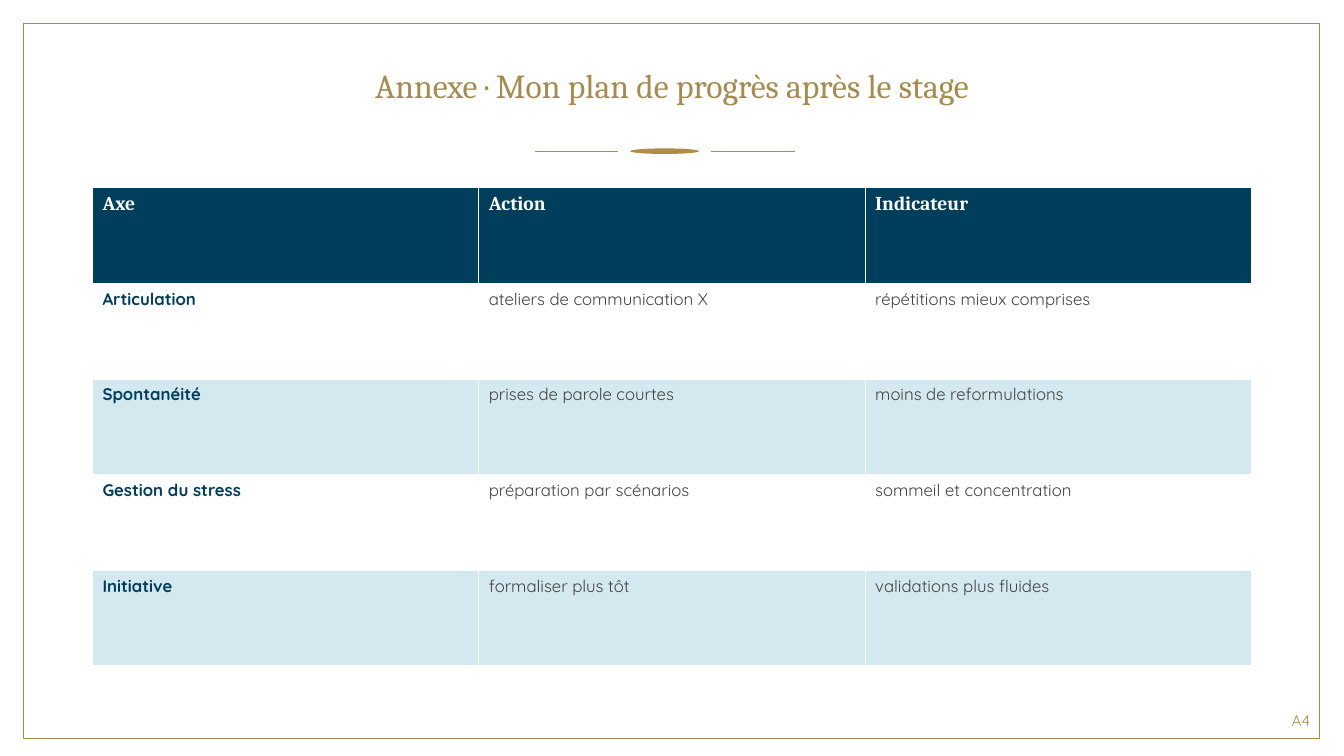
from lxml.etree import SubElement
from pptx import Presentation
from pptx.dml.color import RGBColor
from pptx.enum.shapes import MSO_CONNECTOR, MSO_SHAPE
from pptx.enum.text import MSO_ANCHOR, PP_ALIGN
from pptx.oxml.ns import qn
from pptx.util import Cm, Pt

COLORS = {
    "gold": "A68B4E",
    "ornament": "B18C49",
    "navy": "003E5C",
    "pale": "D4E8EF",
    "white": "FFFFFF",
    "text": "424242",
}
HEADING_FONT = "Cambria"
BODY_FONT = "Quicksand"

PLAN = [
    ("Axe", "Action", "Indicateur"),
    ("Articulation", "ateliers de communication X", "répétitions mieux comprises"),
    ("Spontanéité", "prises de parole courtes", "moins de reformulations"),
    ("Gestion du stress", "préparation par scénarios", "sommeil et concentration"),
    ("Initiative", "formaliser plus tôt", "validations plus fluides"),
]


def color(name):
    return RGBColor.from_string(COLORS[name])


def write(text_frame, text, *, size, font, ink, bold=False,
          align=PP_ALIGN.LEFT, line_spacing=None):
    paragraph = text_frame.paragraphs[0]
    paragraph.alignment = align
    paragraph.line_spacing = line_spacing
    run = paragraph.add_run()
    run.text = text
    run.font.size = Pt(size)
    run.font.name = font
    run.font.bold = bold
    run.font.color.rgb = color(ink)


def add_text(slide, text, left, top, width, height, **text_format):
    shape = slide.shapes.add_textbox(Cm(left), Cm(top), Cm(width), Cm(height))
    shape.text_frame.word_wrap = True
    shape.text_frame.vertical_anchor = MSO_ANCHOR.MIDDLE
    write(shape.text_frame, text, **text_format)


def add_filled_shape(slide, kind, left, top, width, height, fill, line=None):
    shape = slide.shapes.add_shape(kind, Cm(left), Cm(top), Cm(width), Cm(height))
    shape.shadow.inherit = False
    shape.fill.solid()
    shape.fill.fore_color.rgb = color(fill)
    if line:
        shape.line.color.rgb = color(line)
        shape.line.width = Pt(0.75)
    else:
        shape.line.fill.background()


def add_rule(slide, left, top, width):
    connector = slide.shapes.add_connector(
        MSO_CONNECTOR.STRAIGHT, Cm(left), Cm(top), Cm(left + width), Cm(top))
    connector.line.color.rgb = color("ornament")
    connector.line.width = Pt(0.5)
    SubElement(connector._element.spPr, qn("a:effectLst"))


def add_ornament(slide):
    add_filled_shape(slide, MSO_SHAPE.OVAL, 15.88, 3.74, 1.74, 0.14, "ornament")
    for left in (13.47, 17.93):
        add_rule(slide, left, 3.82, 2.11)


def add_plan_table(slide, rows, left, top, width, row_height):
    shape = slide.shapes.add_table(
        len(rows), len(rows[0]), Cm(left), Cm(top), Cm(width),
        Cm(row_height * len(rows)))
    table = shape.table
    table.horz_banding = False
    for row_index, row in enumerate(rows):
        table.rows[row_index].height = Cm(row_height)
        for column_index, text in enumerate(row):
            cell = table.cell(row_index, column_index)
            cell.fill.solid()
            if row_index == 0:
                fill = "navy"
                text_format = dict(size=14, font=HEADING_FONT, ink="white", bold=True)
            else:
                is_axis = column_index == 0
                fill = "white" if row_index % 2 else "pale"
                text_format = dict(size=12, font=BODY_FONT, bold=is_axis,
                                   ink="navy" if is_axis else "text")
            cell.fill.fore_color.rgb = color(fill)
            write(cell.text_frame, text, **text_format)


def main():
    presentation = Presentation()
    presentation.slide_width = Cm(33.87)
    presentation.slide_height = Cm(19.05)
    slide = presentation.slides.add_slide(presentation.slide_layouts[6])

    add_filled_shape(slide, MSO_SHAPE.RECTANGLE, 0.6, 0.59, 32.66, 18.03,
                     "white", line="gold")
    add_ornament(slide)
    add_text(slide, "Annexe · Mon plan de progrès après le stage",
             2.33, 0.59, 29.21, 3.22, size=24, font=HEADING_FONT, ink="gold",
             align=PP_ALIGN.CENTER, line_spacing=0.9)
    add_plan_table(slide, PLAN, 2.33, 4.73, 29.21, 2.41)
    add_text(slide, "A4", 25.65, 17.65, 7.62, 1.02, size=11, font=BODY_FONT,
             ink="gold", align=PP_ALIGN.RIGHT)

    presentation.save("out.pptx")


if __name__ == "__main__":
    main()
